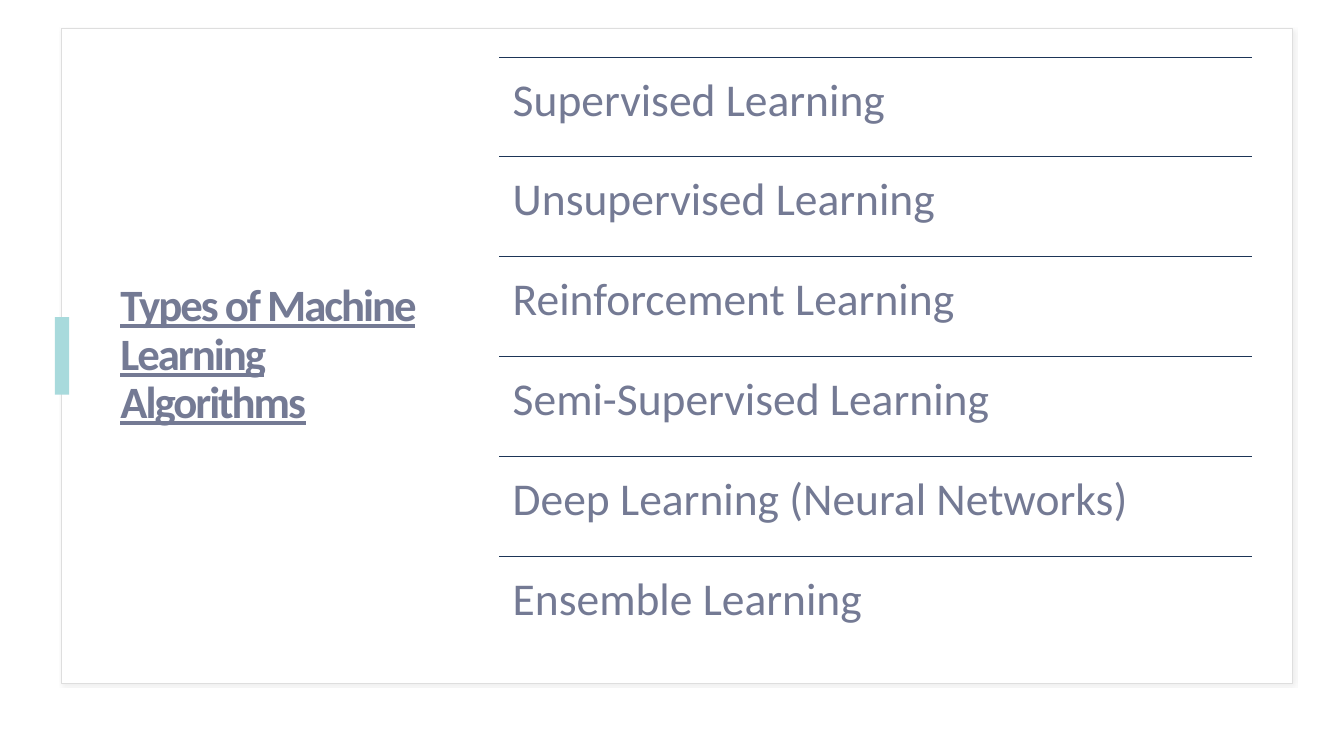
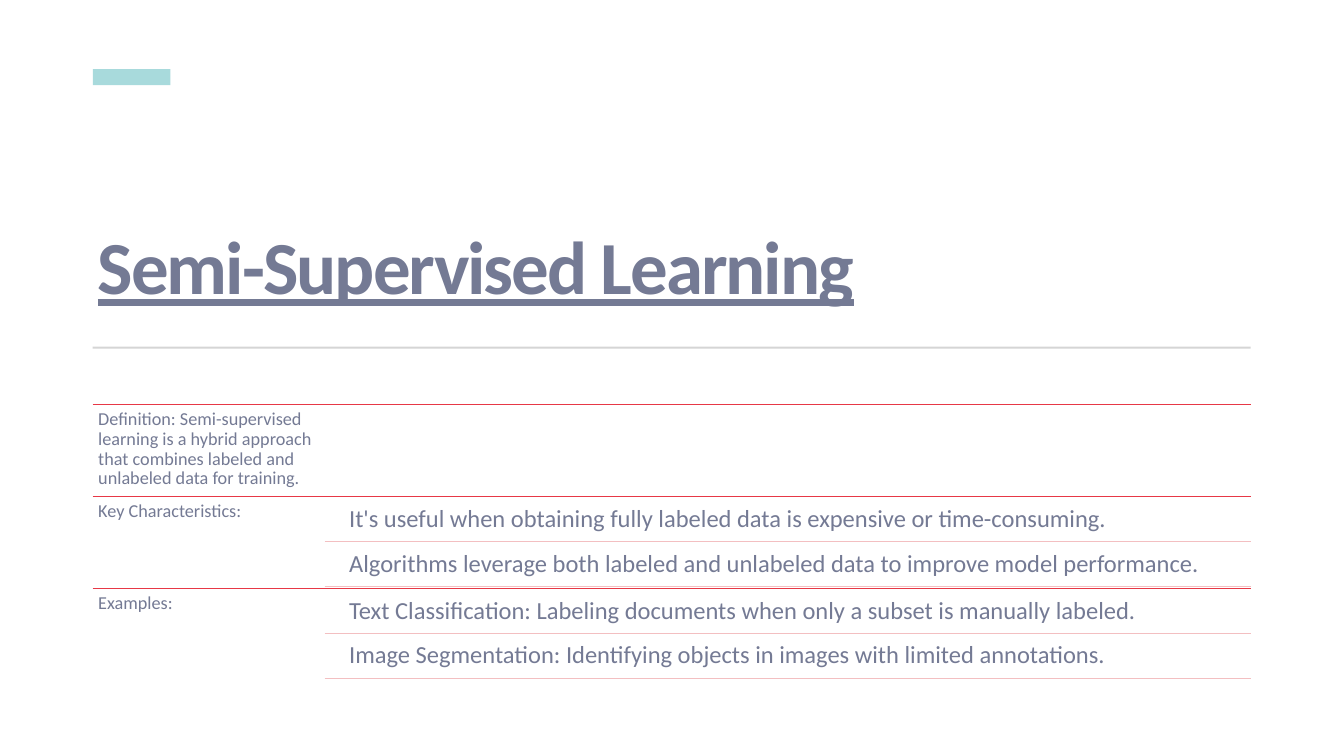
from lxml.etree import SubElement
from pptx import Presentation
from pptx.dml.color import RGBColor
from pptx.enum.shapes import MSO_CONNECTOR, MSO_SHAPE
from pptx.enum.text import MSO_ANCHOR, MSO_AUTO_SIZE, PP_ALIGN
from pptx.oxml import parse_xml
from pptx.oxml.ns import nsdecls, qn
from pptx.util import Pt

SLATE = RGBColor(0x74, 0x7A, 0x94)
AQUA = RGBColor(0xA8, 0xDA, 0xDC)
NAVY = RGBColor(0x1D, 0x35, 0x57)
RED = RGBColor(0xE7, 0x38, 0x46)
PINK = RGBColor(0xF3, 0xBF, 0xC1)
GREY = RGBColor(0xD5, 0xD5, 0xD5)
CARD_EDGE = RGBColor(0xDE, 0xDE, 0xDE)
WHITE = RGBColor(0xFF, 0xFF, 0xFF)

FONT = "Calibri"
TITLE_FONT = {"bold": True, "underline": True}
TITLE_PARA = {"line_spacing": 0.9, "space_after": Pt(6)}


def write(box, text, size, inset=None, anchor=MSO_ANCHOR.TOP, para_format=None, font_format=None):
    """Fill a box with one left-aligned paragraph and return its run."""
    frame = box.text_frame
    frame_format = {"word_wrap": True, "auto_size": MSO_AUTO_SIZE.NONE, "vertical_anchor": anchor}
    if inset is not None:
        for side in ("left", "top", "right", "bottom"):
            frame_format[f"margin_{side}"] = Pt(inset)
    for name, value in frame_format.items():
        setattr(frame, name, value)
    para = frame.paragraphs[0]
    for name, value in {"alignment": PP_ALIGN.LEFT, **(para_format or {})}.items():
        setattr(para, name, value)
    span = para.add_run()
    span.text = text
    for name, value in {"name": FONT, "size": Pt(size), **(font_format or {})}.items():
        setattr(span.font, name, value)
    span.font.color.rgb = SLATE
    return span


def draw_rule(page, left, right, top, color):
    rule = page.shapes.add_connector(MSO_CONNECTOR.STRAIGHT, Pt(left), Pt(top), Pt(right), Pt(top))
    rule.line.color.rgb = color
    rule.line.width = Pt(1)
    SubElement(rule.element.spPr, qn("a:effectLst"))


deck = Presentation()
deck.slide_width, deck.slide_height = Pt(1919.52), Pt(1080)
title_only = deck.slide_layouts[5]

# Titles and the plain blocks around them
pages = []
for text, size, anchor, (left, top, width, height) in [
    ("Types of Machine Learning Algorithms", 64, MSO_ANCHOR.MIDDLE, (164.88, 79.92, 471.6, 856.8)),
    ("Semi-Supervised Learning", 107, MSO_ANCHOR.BOTTOM, (132.48, 148.32, 1653.84, 299.52)),
]:
    page = deck.slides.add_slide(title_only)
    page.background.fill.solid()
    page.background.fill.fore_color.rgb = WHITE
    title = page.shapes.title
    title.left, title.top, title.width, title.height = Pt(left), Pt(top), Pt(width), Pt(height)
    span = write(title, text, size, anchor=anchor, para_format=TITLE_PARA, font_format=TITLE_FONT)
    span.font.element.set("spc", "-290") if hasattr(span.font, "element") else span.font._element.set("spc", "-290")
    pages.append(page)
types_page, semi_page = pages

blocks = []
for page, left, top, width, height, rotation, color in [
    (types_page, 87.84, 41.04, 1758.24, 934.56, 0, WHITE),
    (types_page, 78.48, 452.88, 20.16, 110.88, 0, AQUA),
    (semi_page, 176.4, 54.72, 23.04, 110.88, 90, AQUA),
    (semi_page, 132.48, 495.36, 1653.84, 2.88, 0, GREY),
]:
    block = page.shapes.add_shape(MSO_SHAPE.RECTANGLE, Pt(left), Pt(top), Pt(width), Pt(height))
    block.rotation = rotation
    block.shadow.inherit = False
    block.fill.solid()
    block.fill.fore_color.rgb = color
    block.line.fill.background()
    blocks.append(block)

# The card lies behind the title and casts a soft shadow
card = blocks[0]
card.line.color.rgb = CARD_EDGE
card.line.width = Pt(1)
card.element.spPr.find(qn("a:effectLst")).append(parse_xml(
    f'<a:outerShdw {nsdecls("a")} blurRad="{Pt(4)}" dist="{Pt(3)}" dir="2700000" algn="tl" rotWithShape="0">'
    '<a:srgbClr val="D9D9D9"><a:alpha val="50000"/></a:srgbClr></a:outerShdw>'))
types_page.shapes.title.element.addprevious(card.element)

# List of algorithm types
LIST_LEFT, LIST_RIGHT, LIST_TOP, LIST_STEP = 712.8, 1788, 81.36, 142.56
for index, name in enumerate([
    "Supervised Learning",
    "Unsupervised Learning",
    "Reinforcement Learning",
    "Semi-Supervised Learning",
    "Deep Learning (Neural Networks)",
    "Ensemble Learning",
]):
    top = LIST_TOP + index * LIST_STEP
    draw_rule(types_page, LIST_LEFT, LIST_RIGHT, top, NAVY)
    box = types_page.shapes.add_textbox(Pt(LIST_LEFT), Pt(top), Pt(LIST_RIGHT - LIST_LEFT), Pt(LIST_STEP))
    write(box, name, 65, inset=19.5)

# Sections with a label on the left and details on the right
LABEL_LEFT, LABEL_WIDTH, SECTION_RIGHT = 132.48, 331.2, 1787.04
SECTION_TOP, SECTION_STEP = 578.16, 131.2
DETAIL_LEFT, DETAIL_GAP, DETAIL_HEIGHT = 488.16, 3.05, 61
TIGHT = {"line_spacing": 0.9}
sections = [
    ("Definition: Semi-supervised learning is a hybrid approach that combines labeled "
     "and unlabeled data for training.", []),
    ("Key Characteristics:", [
        "It's useful when obtaining fully labeled data is expensive or time-consuming.",
        "Algorithms leverage both labeled and unlabeled data to improve model performance.",
    ]),
    ("Examples:", [
        "Text Classification: Labeling documents when only a subset is manually labeled.",
        "Image Segmentation: Identifying objects in images with limited annotations.",
    ]),
]
for index, (label, details) in enumerate(sections):
    top = SECTION_TOP + index * SECTION_STEP
    draw_rule(semi_page, LABEL_LEFT, SECTION_RIGHT, top, RED)
    box = semi_page.shapes.add_textbox(Pt(LABEL_LEFT), Pt(top), Pt(LABEL_WIDTH), Pt(SECTION_STEP))
    write(box, label, 26, inset=7.8, para_format=TIGHT)
    for detail in details:
        top += DETAIL_GAP
        box = semi_page.shapes.add_textbox(
            Pt(DETAIL_LEFT), Pt(top), Pt(SECTION_RIGHT - DETAIL_LEFT), Pt(DETAIL_HEIGHT))
        write(box, detail, 35, inset=10.5, para_format=TIGHT)
        top += DETAIL_HEIGHT
        draw_rule(semi_page, LABEL_LEFT + LABEL_WIDTH, SECTION_RIGHT, top, PINK)

deck.save("out.pptx")
